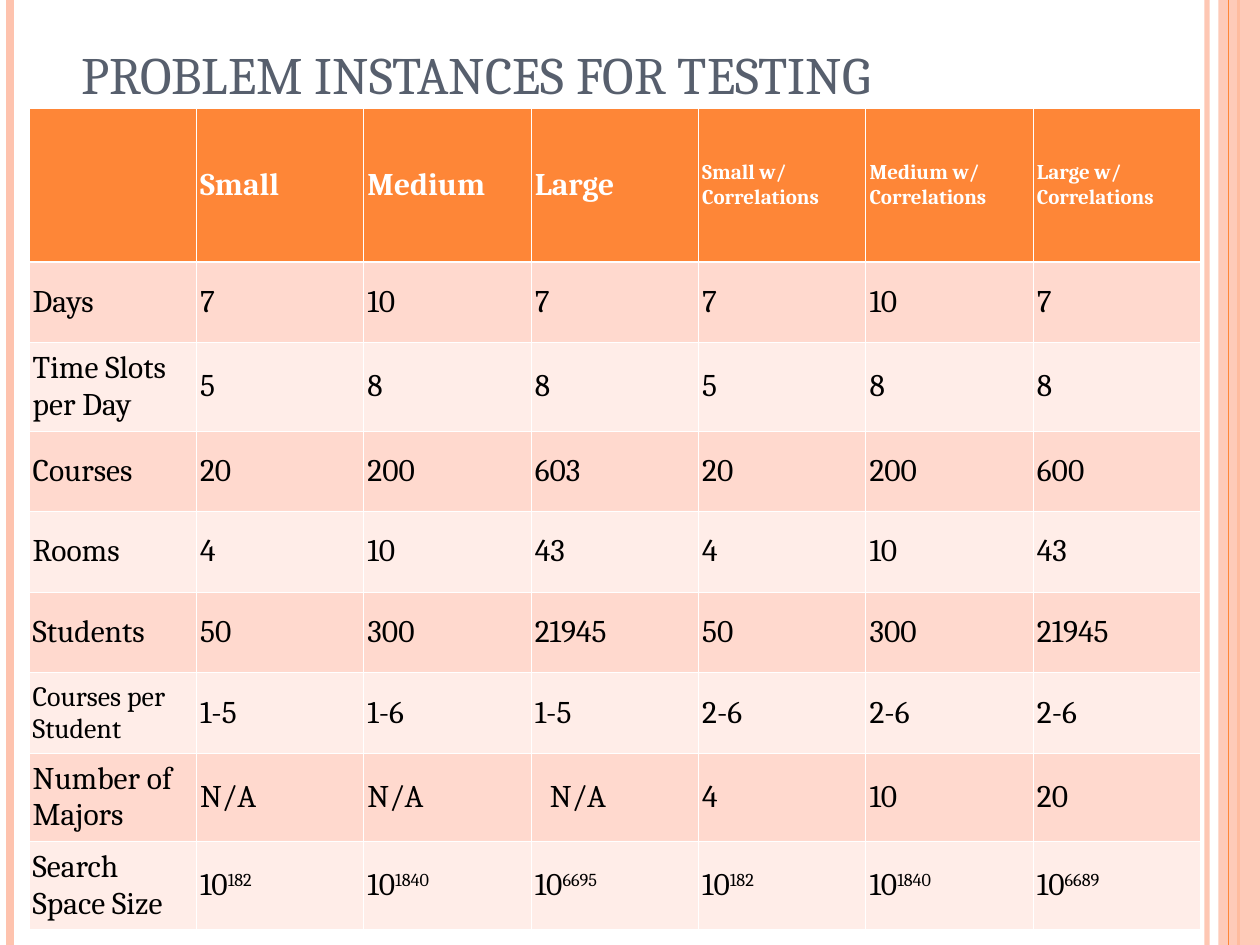
from collections import namedtuple

from lxml import etree
from pptx import Presentation
from pptx import util as u
from pptx.dml.color import RGBColor
from pptx.enum import shapes, text
from pptx.oxml import ns

Box = namedtuple("Box", "left top width height")

FONT = "Cambria"
COLORS = {
    "orange": "FE8637",
    "peach": "FEC3AE",
    "band_dark": "FFD9CE",
    "band_light": "FFEDE8",
    "title": "575F6D",
    "white": "FFFFFF",
    "black": "000000",
}

HEADER = ["", "Small", "Medium", "Large",
          "Small w/ Correlations", "Medium w/ Correlations", "Large w/ Correlations"]
INSTANCES = [
    ["Days", "7", "10", "7", "7", "10", "7"],
    ["Time Slots per Day", "5", "8", "8", "5", "8", "8"],
    ["Courses", "20", "200", "603", "20", "200", "600"],
    ["Rooms", "4", "10", "43", "4", "10", "43"],
    ["Students", "50", "300", "21945", "50", "300", "21945"],
    ["Courses per Student", "1-5", "1-6", "1-5", "2-6", "2-6", "2-6"],
    ["Number of Majors", "N/A", "N/A", "N/A", "4", "10", "20"],
    ["Search Space Size", "10^182", "10^1840", "10^6695", "10^182", "10^1840", "10^6689"],
]
HEADER_HEIGHT = 1.22
ROW_HEIGHT, TALL_ROW_HEIGHT = 0.64, 0.66
TALL_ROWS = {"Time Slots per Day", "Number of Majors", "Search Space Size"}
FONT_SIZES = {"Courses per Student": 16, **{label: 12 for label in HEADER[4:]}}
INDENTED_CELL = (7, 3)
THIN, THICK = 0.45, 1.47


def color(name):
    return RGBColor.from_string(COLORS[name])


def set_alpha(element, percent):
    for fill_color in element.iter(ns.qn("a:srgbClr")):
        etree.SubElement(fill_color, ns.qn("a:alpha"), val=str(percent * 1000))


def format_run(run, size, color_name, bold=False):
    run.font.name = FONT
    run.font.size = u.Pt(size)
    run.font.bold = bold
    run.font.color.rgb = color(color_name)


def add_rule(slide, box, share, color_name, width, alpha=None):
    """Vertical line at a share of the box width."""
    x = box.left + int(box.width * share)
    line = slide.shapes.add_connector(
        shapes.MSO_CONNECTOR.STRAIGHT, x, box.top, x, box.top + box.height)
    line.line.color.rgb = color(color_name)
    line.line.width = u.Pt(width)
    properties = line._element.spPr
    if alpha:
        set_alpha(properties, alpha)
    etree.SubElement(properties, ns.qn("a:effectLst"))


def add_side_stripes(slide, box):
    add_rule(slide, box, 0.958, "peach", 3, alpha=93)
    add_rule(slide, box, 0.008, "peach", 4.5)
    add_rule(slide, box, 0.983, "orange", 1.5)
    # Wide translucent band on the right edge
    band_left = int(box.width * 0.967)
    band = slide.shapes.add_shape(
        shapes.MSO_SHAPE.RECTANGLE, box.left + band_left, box.top,
        box.width - band_left, box.height)
    band.shadow.inherit = False
    band.fill.solid()
    band.fill.fore_color.rgb = color("peach")
    set_alpha(band._element.spPr, 87)
    band.line.fill.background()
    add_rule(slide, box, 0.975, "orange", 0.75)


def add_title(slide, box):
    shape = slide.shapes.add_textbox(*box)
    frame = shape.text_frame
    frame.word_wrap = True
    frame.vertical_anchor = text.MSO_ANCHOR.BOTTOM
    frame.text = "PROBLEM INSTANCES FOR TESTING"
    format_run(frame.paragraphs[0].runs[0], 30, "title")


def set_borders(cell, top, bottom):
    properties = cell._tc.get_or_add_tcPr()
    for side, width in (("L", THIN), ("R", THIN), ("T", top), ("B", bottom)):
        line = etree.SubElement(properties, ns.qn("a:ln" + side), w=str(u.Pt(width)))
        fill = etree.SubElement(line, ns.qn("a:solidFill"))
        etree.SubElement(fill, ns.qn("a:srgbClr"), val=COLORS["white"])


def fill_cell(cell, row, column, value):
    is_header = row == 0
    set_borders(cell, THICK if row == 1 else THIN, THICK if is_header else THIN)
    cell.fill.solid()
    cell.fill.fore_color.rgb = color(
        "orange" if is_header else "band_dark" if row % 2 else "band_light")
    cell.vertical_anchor = text.MSO_ANCHOR.MIDDLE
    cell.margin_left = cell.margin_right = u.Inches(0.03)
    cell.margin_top = cell.margin_bottom = u.Inches(0.05)

    # A caret in the value marks an exponent
    base, _, exponent = value.partition("^")
    cell.text_frame.text = base
    paragraph = cell.text_frame.paragraphs[0]
    if exponent:
        run = paragraph.add_run()
        run.text = exponent
        run.font._element.set("baseline", "30000")
    for run in paragraph.runs:
        format_run(run, FONT_SIZES.get(value, 18),
                   "white" if is_header else "black", bold=is_header)
    if (row, column) == INDENTED_CELL:
        paragraph._p.get_or_add_pPr().set("marL", str(u.Inches(0.12)))


def add_instance_table(slide, box):
    rows = [HEADER] + INSTANCES
    table = slide.shapes.add_table(len(rows), len(HEADER), *box).table
    for column in table.columns:
        column.width = box.width // len(HEADER)
    for row, values in enumerate(rows):
        height = TALL_ROW_HEIGHT if values[0] in TALL_ROWS else ROW_HEIGHT
        table.rows[row].height = u.Inches(HEADER_HEIGHT if row == 0 else height)
        for column, value in enumerate(values):
            fill_cell(table.cell(row, column), row, column, value)


def main():
    presentation = Presentation()
    presentation.slide_width = u.Inches(10)
    presentation.slide_height = u.Inches(7.5)
    slide = presentation.slides.add_slide(presentation.slide_layouts[6])

    page = Box(0, 0, presentation.slide_width, presentation.slide_height)
    add_side_stripes(slide, page)
    add_title(slide, Box(*map(u.Inches, (0.55, 0.16, 9, 0.72))))
    add_instance_table(slide, Box(*map(u.Inches, (0.23, 0.86, 9.3, 6.4))))
    presentation.save("out.pptx")


if __name__ == "__main__":
    main()
